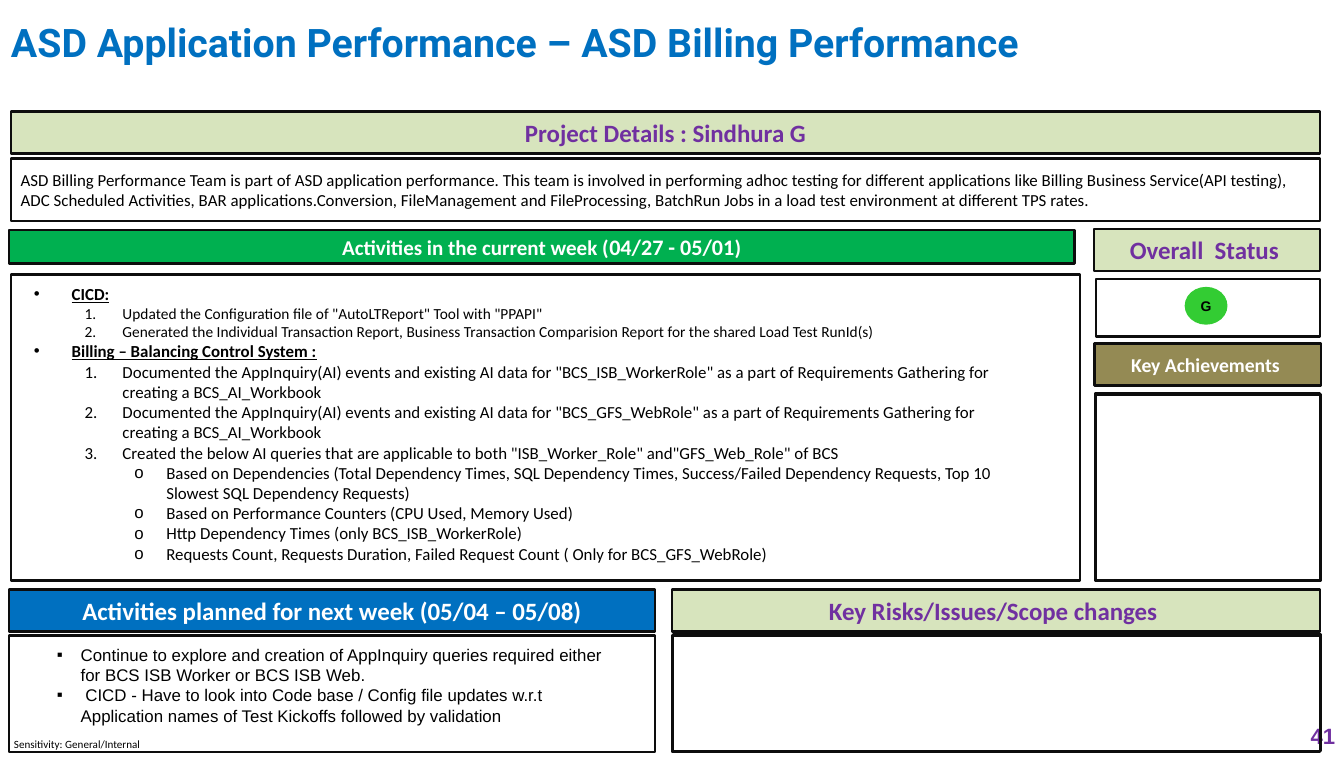
import pptx
import pptx.dml.color
import pptx.enum.shapes
import pptx.enum.text
import pptx.oxml.ns
import pptx.util
from lxml import etree

COLOURS = {
    "ink": "000000", "border": "0D0D0D", "white": "FFFFFF", "blue": "0070C0",
    "purple": "7030A0", "sage": "D7E4BD", "olive": "948A54",
    "green": "00B050", "status": "33CC33",
}
WIDTH, HEIGHT = 13.5, 7.6
COLUMNS, ROWS = 135, 76
ALIGN = pptx.enum.text.PP_ALIGN
ANCHOR = pptx.enum.text.MSO_ANCHOR
SHAPE = pptx.enum.shapes.MSO_SHAPE

# level: (text indent, hanging indent) in inches
INDENTS = {0: (0.38, 0.38), 1: (0.89, 0.38), 2: (1.33, 0.32)}


def rgb(name):
    return pptx.dml.color.RGBColor.from_string(COLOURS[name])


class StatusBoard:
    """Style and current slide; places are (column, row, columns, rows)."""

    def __init__(self, deck):
        self.deck = deck
        self.slide = deck.slides.add_slide(deck.slide_layouts[3])

    def place(self, column, row, columns, rows):
        across, down = self.deck.slide_width / COLUMNS, self.deck.slide_height / ROWS
        return [round(v) for v in (column * across, row * down, columns * across, rows * down)]

    def add_text(self, paragraph, text, size, colour="ink", **formats):
        run = paragraph.add_run()
        run.text = text
        values = {"name": "Calibri", "size": pptx.util.Pt(size), "bold": False, **formats}
        for attribute, value in values.items():
            setattr(run.font, attribute, value)
        run.font.color.rgb = rgb(colour)

    def frame(self, shape, anchor=ANCHOR.MIDDLE, **settings):
        frame = shape.text_frame
        values = {"word_wrap": True, "vertical_anchor": anchor,
                  "auto_size": pptx.enum.text.MSO_AUTO_SIZE.NONE, **settings}
        for attribute, value in values.items():
            setattr(frame, attribute, value)
        return frame

    def move(self, shape, place):
        shape.left, shape.top, shape.width, shape.height = self.place(*place)

    def title(self, place, text):
        heading = self.slide.shapes.title
        self.move(heading, place)
        paragraph = self.frame(heading).paragraphs[0]
        paragraph.alignment = ALIGN.LEFT
        self.add_text(paragraph, text, 28.4, "blue", name="Roboto", bold=True)

    def panel(self, place, fill=None, border="border", kind=SHAPE.RECTANGLE):
        panel = self.slide.shapes.add_shape(kind, *self.place(*place))
        panel.shadow.inherit = False
        if fill:
            panel.fill.solid()
            panel.fill.fore_color.rgb = rgb(fill)
        else:
            panel.fill.background()
        if border:
            panel.line.color.rgb = rgb(border)
            panel.line.width = pptx.util.Pt(2)
        else:
            panel.line.fill.background()
        return panel

    def banner(self, place, fill, colour, *runs):
        paragraph = self.frame(self.panel(place, fill)).paragraphs[0]
        paragraph.alignment = ALIGN.CENTER
        for text, size in runs:
            self.add_text(paragraph, text, size, colour, bold=True)

    def description(self, place, text):
        paragraph = self.frame(self.panel(place)).paragraphs[0]
        paragraph.alignment = ALIGN.LEFT
        self.add_text(paragraph, text, 12.2)

    def light(self, place, letter):
        """Round status light with a letter in it."""
        light = self.panel(place, "status", None, SHAPE.OVAL)
        margins = {f"margin_{side}": 0 for side in ("left", "right", "top", "bottom")}
        paragraph = self.frame(light, **{**margins, "word_wrap": False}).paragraphs[0]
        paragraph.alignment = ALIGN.CENTER
        self.add_text(paragraph, letter, 10.1, name="Arial", bold=True)

    def label(self, place, text, size, colour, align, anchor, margin, **formats):
        box = self.slide.shapes.add_textbox(*self.place(*place))
        inset = pptx.util.Inches(margin)
        frame = self.frame(box, anchor, margin_left=inset, margin_right=inset)
        frame.paragraphs[0].alignment = align
        self.add_text(frame.paragraphs[0], text, size, colour, **formats)

    def bullet(self, paragraph, mark, indent, hanging):
        """Mark is a bullet character, or an integer for a numbered item."""
        paragraph.space_before = pptx.util.Pt(0)
        properties = paragraph._p.get_or_add_pPr()
        properties.set("marL", str(pptx.util.Inches(indent)))
        properties.set("indent", str(-pptx.util.Inches(hanging)))
        numbered = isinstance(mark, int)
        if not numbered:
            etree.SubElement(properties, pptx.oxml.ns.qn("a:buFont")).set("typeface", "Arial")
        tag = "a:buAutoNum" if numbered else "a:buChar"
        element = etree.SubElement(properties, pptx.oxml.ns.qn(tag))
        if numbered:
            element.set("type", "arabicPeriod")
            if mark > 1:
                element.set("startAt", str(mark))
        else:
            element.set("char", mark)

    def items(self, number, place, entries, indents=INDENTS, font="Calibri"):
        """Fill a body placeholder with (level, mark, text, size) entries."""
        body = self.slide.placeholders[number]
        self.move(body, place)
        # lists lie above the panels
        self.slide.shapes._spTree.append(body._element)
        frame = self.frame(body, ANCHOR.TOP)
        for index, (level, mark, text, size) in enumerate(entries):
            paragraph = frame.add_paragraph() if index else frame.paragraphs[0]
            paragraph.level = level
            self.bullet(paragraph, mark, *indents[level])
            topic = mark == "•"
            self.add_text(paragraph, text, size, name=font, bold=topic, underline=topic)


CURRENT_WEEK = [
    (0, "•", "CICD:", 12.2),
    (1, 1, 'Updated the Configuration file of "AutoLTReport" Tool with "PPAPI"', 11.1),
    (1, 1, "Generated the Individual Transaction Report, Business Transaction Comparision "
     "Report for the shared Load Test RunId(s)", 11.1),
    (0, "•", "Billing – Balancing Control System :", 12.2),
    (1, 1, 'Documented the AppInquiry(AI) events and existing AI data for "BCS_ISB_WorkerRole" '
     "as a part of Requirements Gathering for creating a BCS_AI_Workbook", 12.2),
    (1, 2, 'Documented the AppInquiry(AI) events and existing AI data for "BCS_GFS_WebRole" '
     "as a part of Requirements Gathering for creating a BCS_AI_Workbook", 12.2),
    (1, 3, 'Created the below AI queries that are applicable to both "ISB_Worker_Role" '
     'and"GFS_Web_Role" of BCS', 12.2),
    (2, "o", "Based on Dependencies (Total Dependency Times, SQL Dependency Times, "
     "Success/Failed Dependency Requests, Top 10 Slowest SQL Dependency Requests)", 12.2),
    (2, "o", "Based on Performance Counters (CPU Used, Memory Used)", 12.2),
    (2, "o", "Http Dependency Times (only BCS_ISB_WorkerRole)", 12.2),
    (2, "o", "Requests Count, Requests Duration, Failed Request Count "
     "( Only for BCS_GFS_WebRole)", 12.2),
]
NEXT_WEEK = [
    (0, "▪", "Continue to explore and creation of AppInquiry queries required either "
     "for BCS ISB Worker or BCS ISB Web.", 12.2),
    (0, "▪", " CICD - Have to look into Code base / Config file updates w.r.t "
     "Application names of Test Kickoffs followed by validation", 12.2),
]


def main():
    deck = pptx.Presentation()
    deck.slide_width = pptx.util.Inches(WIDTH)
    deck.slide_height = pptx.util.Inches(HEIGHT)
    board = StatusBoard(deck)

    board.label((0, 73.5, 15.5, 2.5), "Sensitivity: General/Internal", 8, "ink",
                ALIGN.LEFT, ANCHOR.MIDDLE, 0.14)
    board.label((128.4, 72, 6.7, 3.7), "41", 16, "purple",
                ALIGN.RIGHT, ANCHOR.TOP, 0.1, name="Arial", bold=True)
    board.title((0.1, 1.2, 126.7, 5.9), "ASD Application Performance – ASD Billing Performance")

    board.light((119, 28.8, 4.3, 3.8), "G")
    current, planned, risks = (1.1, 27.6, 107.4, 30.7), (0.9, 63.8, 64.9, 11.7), (67.5, 63.8, 65.1, 11.7)
    status, achievements = (110.1, 28, 22.5, 5.8), (110, 39.5, 22.6, 18.8)
    risks_edge, achievements_edge = (67.6, 63.7, 65.1, 11.7), (110.1, 39.6, 22.6, 18.7)
    for place in (current, planned, risks, status, achievements, risks_edge, achievements_edge):
        board.panel(place)

    for place, fill, colour, *runs in (
        ((1.1, 11.2, 131.5, 4.2), "sage", "purple", ("Project Details : Sindhura G", 18)),
        ((0.9, 23.1, 107, 3.4), "green", "white", ("Activities in the current week (", 15.2),
         ("04/27 - 05/01", 16), (")", 15.2)),
        ((109.9, 23, 22.7, 4.2), "sage", "purple", ("Overall  Status ", 18)),
        ((109.9, 34.5, 22.8, 4.2), "olive", "white", ("Key Achievements ", 14.2)),
        ((0.9, 59.2, 64.9, 4.2), "blue", "white",
         ("Activities planned for next week (05/04 – 05/08)", 18)),
        ((67.5, 59.2, 65.1, 4.2), "sage", "purple", ("Key Risks/Issues/Scope changes ", 18)),
    ):
        board.banner(place, fill, colour, *runs)

    board.description(
        (1.1, 15.9, 131.5, 6.3),
        "ASD Billing Performance Team is part of ASD application performance. This team is "
        "involved in performing adhoc testing for different applications like Billing Business "
        "Service(API testing), ADC Scheduled Activities, BAR applications.Conversion, "
        "FileManagement and FileProcessing, BatchRun Jobs in a load test environment at "
        "different TPS rates.")
    board.items(1, (2.4, 28, 98.8, 29.7), CURRENT_WEEK)
    board.items(2, (4.7, 64.2, 57.3, 9.3), NEXT_WEEK, {0: (0.24, 0.24)}, "Arial")
    deck.save("out.pptx")


if __name__ == "__main__":
    main()
